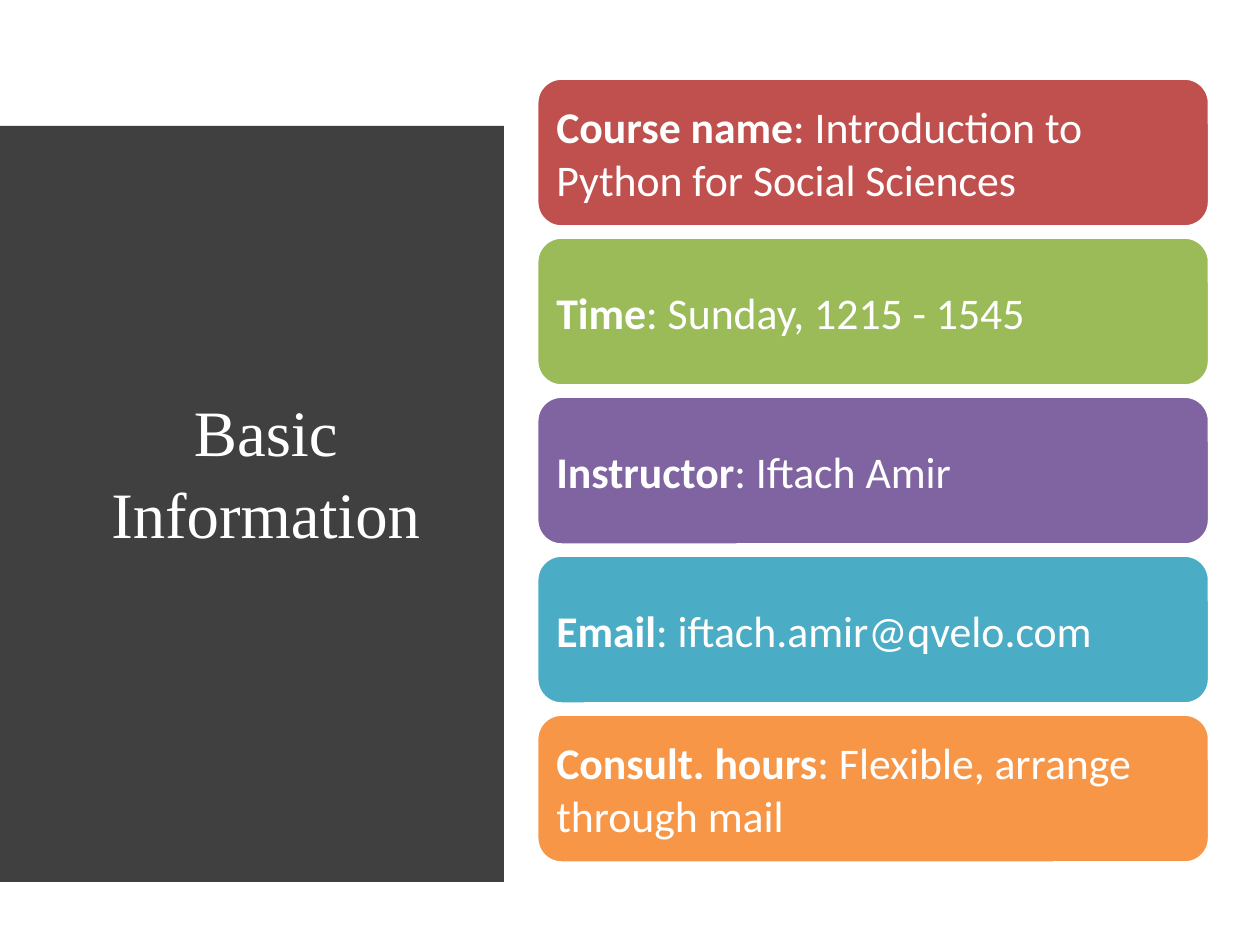
"""Build the course's basic information slide."""
from dataclasses import dataclass

from pptx import Presentation, util as u
from pptx.dml.color import RGBColor
from pptx.enum import shapes, text


@dataclass(frozen=True)
class Theme:
    """Colours, fonts and type sizes."""
    panel: str = "404040"
    light: str = "FFFFFF"
    cards: tuple = ("C0504D", "9BBB59", "8064A2", "4BACC6", "F79646")
    title_font: str = "Times New Roman"
    body_font: str = "Calibri"
    title_size: float = 37
    body_size: float = 25


THEME = Theme()
WIDTH, HEIGHT = 10, 7.5
LEFT, RIGHT = 0.04 * WIDTH, 0.96 * WIDTH
CARD_LEFT, CARD_TOP, CARD_BOTTOM, CARD_GAP = 4.26, 0.62, 6.85, 0.08
FACTS = (
    ("Course name", "Introduction to Python for Social Sciences"),
    ("Time", "Sunday, 1215 - 1545"),
    ("Instructor", "Iftach Amir"),
    ("Email", "iftach.amir@qvelo.com"),
    ("Consult. hours", "Flexible, arrange through mail"),
)


def paint(sp, fill):
    """Give a shape a flat fill without a shadow."""
    sp.shadow.inherit = False
    sp.fill.solid()
    sp.fill.fore_color.rgb = RGBColor.from_string(fill)


def write(sp, runs, *, font, size, align, margin=0.1, spacing=1.0):
    """Write (wording, bold) runs as one vertically centred paragraph."""
    tf = sp.text_frame
    tf.word_wrap = True
    tf.vertical_anchor = text.MSO_ANCHOR.MIDDLE
    tf.margin_left = tf.margin_right = u.Inches(margin)
    p = tf.paragraphs[0]
    p.alignment = align
    p.line_spacing = spacing
    for wording, bold in runs:
        r = p.add_run()
        r.text = wording
        r.font.name, r.font.size, r.font.bold = font, u.Pt(size), bold
        r.font.color.rgb = RGBColor.from_string(THEME.light)


def add_panel(s, top=0.52, bottom=6.96, edge=3.81, bulge=0.18, steps=48):
    """Draw the dark panel with its right side bowed as a parabola."""
    curve = []
    for i in range(steps + 1):
        t = i / steps
        curve.append((edge + 4 * bulge * t * (1 - t), top + t * (bottom - top)))
    builder = s.shapes.build_freeform(LEFT, top, scale=u.Inches(1))
    builder.add_line_segments(curve + [(LEFT, bottom)], close=True)
    sp = builder.convert_to_shape()
    paint(sp, THEME.panel)
    sp.line.fill.background()


def add_title(s, wording):
    """Place the title over the panel."""
    sp = s.shapes.add_textbox(*map(u.Inches, (0.71, 1.11, 2.8, 5.24)))
    write(sp, [(wording, False)], font=THEME.title_font, size=THEME.title_size,
          align=text.PP_ALIGN.CENTER, spacing=1.05)


def add_card(s, row, label, detail):
    """Draw one rounded card in the given row of the column."""
    height = (CARD_BOTTOM - CARD_TOP + CARD_GAP) / len(FACTS) - CARD_GAP
    top = CARD_TOP + row * (height + CARD_GAP)
    box = map(u.Inches, (CARD_LEFT, top, RIGHT - CARD_LEFT, height))
    sp = s.shapes.add_shape(shapes.MSO_SHAPE.ROUNDED_RECTANGLE, *box)
    paint(sp, THEME.cards[row])
    sp.line.color.rgb = RGBColor.from_string(THEME.light)
    sp.line.width = u.Pt(2)
    write(sp, [(label, True), (f": {detail}", False)], font=THEME.body_font,
          size=THEME.body_size, align=text.PP_ALIGN.LEFT)


def main():
    """Build and save the slide."""
    prs = Presentation()
    prs.slide_width, prs.slide_height = u.Inches(WIDTH), u.Inches(HEIGHT)
    s = prs.slides.add_slide(prs.slide_layouts[6])
    add_panel(s)
    add_title(s, "Basic Information")
    for row, (label, detail) in enumerate(FACTS):
        add_card(s, row, label, detail)
    prs.save("out.pptx")


if __name__ == "__main__":
    main()
